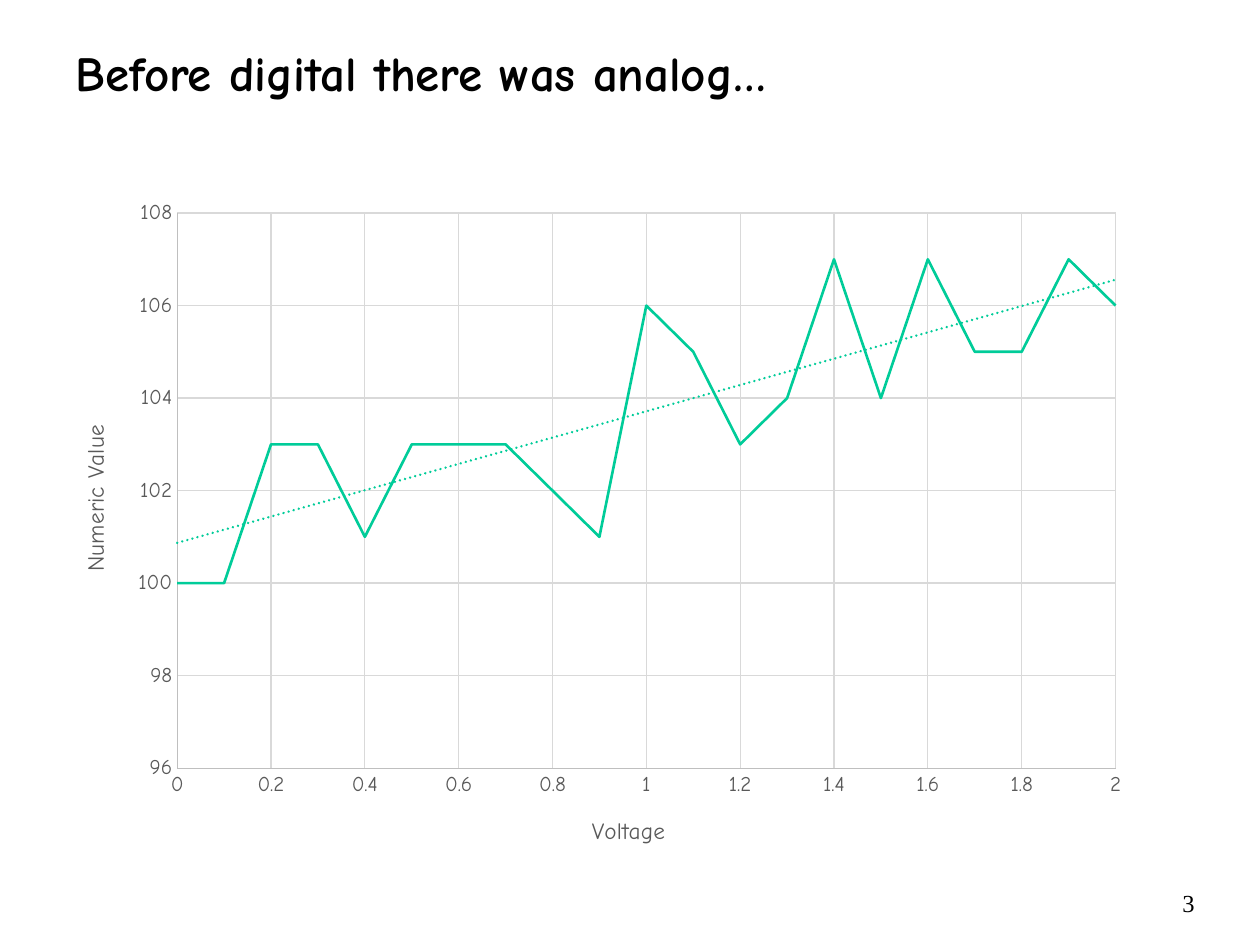
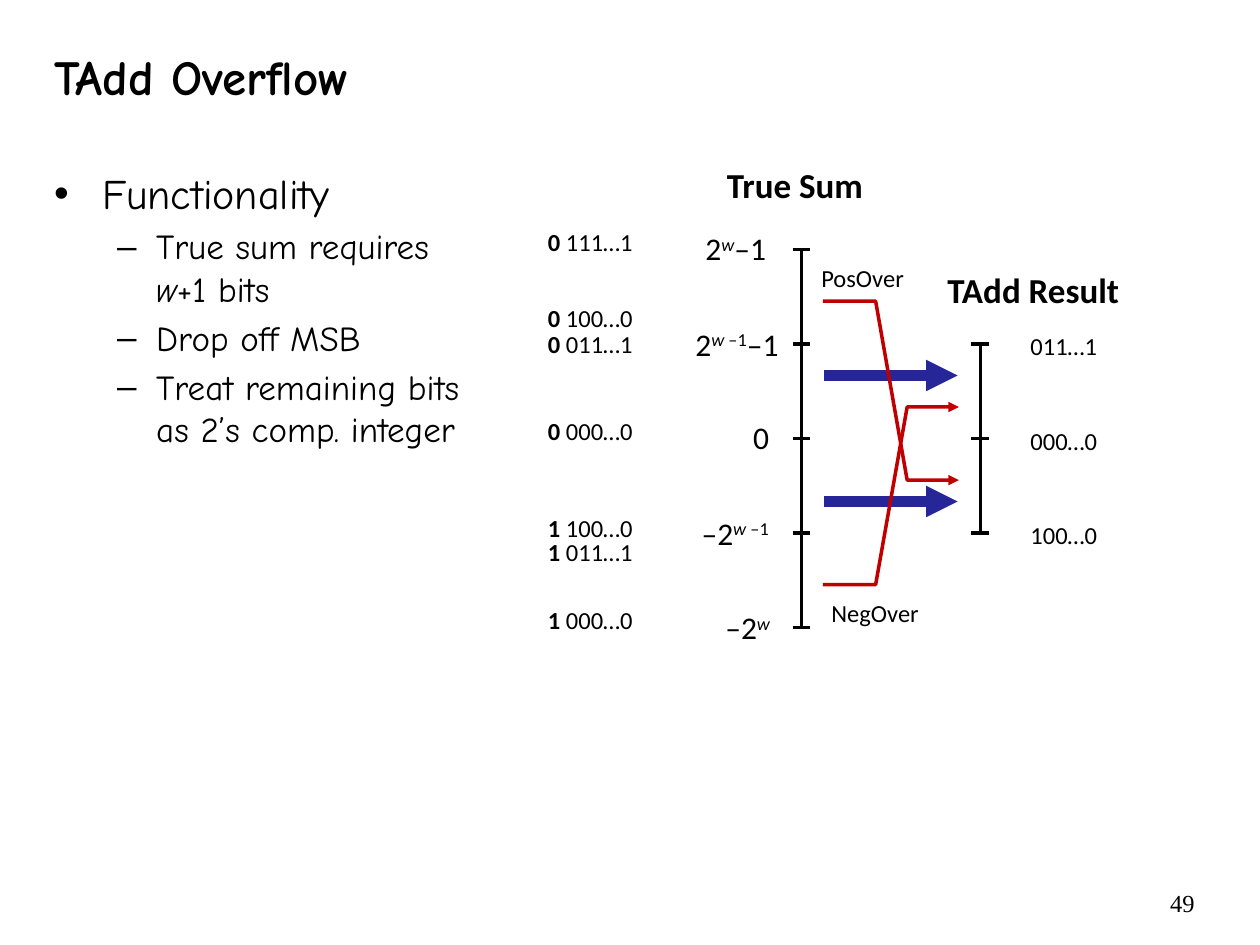
import pptx
import pptx.chart.data
import pptx.dml.color
import pptx.enum.chart
import pptx.enum.shapes
import pptx.enum.text
import pptx.oxml.ns
import pptx.util
from lxml import etree

Inches = pptx.util.Inches
Pt = pptx.util.Pt
qn = pptx.oxml.ns.qn
ALIGN = pptx.enum.text.PP_ALIGN

HUES = {"ink": "000000", "blue": "262699", "red": "C00000", "green": "00CC99",
        "label": "595959", "axis": "BFBFBF", "grid": "D9D9D9"}
HEAD, TEXT, FOOT = "Comic Neue", "Calibri", "Times New Roman"


def hue(name):
    return pptx.dml.color.RGBColor.from_string(HUES[name])


def sub(node, tag, **atts):
    return etree.SubElement(node, qn(tag), **atts)


class Deck:
    """Holds the shared style and the current slide."""

    def __init__(self):
        self.prs = pptx.Presentation()
        self.prs.slide_width = Inches(10)
        self.prs.slide_height = Inches(7.5)
        self.slide = None

    # Pages and placeholders
    def page(self, layout, title, box, number):
        self.slide = self.prs.slides.add_slide(self.prs.slide_layouts[layout])
        head = self.slide.shapes.title
        self.place(head, box)
        frame = head.text_frame
        frame.vertical_anchor = pptx.enum.text.MSO_ANCHOR.MIDDLE
        par = frame.paragraphs[0]
        par.alignment = ALIGN.LEFT
        self.runs(par, [(title, "b")], 28, HEAD)
        self.text((8.16, 7, 1.42, 0.28), [(number, "")], 14, FOOT, ALIGN.RIGHT, True)

    def place(self, shape, box):
        shape.left, shape.top, shape.width, shape.height = map(Inches, box)
        shape.text_frame.auto_size = pptx.enum.text.MSO_AUTO_SIZE.NONE

    def list(self, box, items):
        body = self.slide.placeholders[1]
        self.place(body, box)
        frame = body.text_frame
        looks = [(24, 0.38, 0.38, "•"), (20, 0.81, 0.31, "–")]
        for num, (level, parts) in enumerate(items):
            size, left, hang, mark = looks[level]
            par = frame.add_paragraph() if num else frame.paragraphs[0]
            par.level = level
            props = par._p.get_or_add_pPr()
            props.set("marL", str(Inches(left)))
            props.set("indent", str(-Inches(hang)))
            sub(props, "a:buChar", char=mark)
            par.space_before = Pt(size * 0.2 if num else 0)
            self.runs(par, parts, size, HEAD)

    # Text: style letters are b bold, i italic, ^ raised
    def runs(self, par, parts, size, face):
        for words, style in parts:
            run = par.add_run()
            run.text = words
            font = run.font
            font.name, font.size = face, Pt(size)
            font.bold, font.italic = "b" in style, "i" in style
            font.color.rgb = hue("ink")
            if "^" in style:
                run._r.get_or_add_rPr().set("baseline", "30000")

    def text(self, box, parts, size=14, face=TEXT, align=ALIGN.LEFT, wrap=False):
        frame = self.slide.shapes.add_textbox(*map(Inches, box)).text_frame
        frame.word_wrap = wrap
        if not wrap:
            frame.auto_size = pptx.enum.text.MSO_AUTO_SIZE.SHAPE_TO_FIT_TEXT
        par = frame.paragraphs[0]
        par.alignment = align
        self.runs(par, parts, size, face)

    # Lines
    def stroke(self, line, color, width, arrow=False):
        line.color.rgb = hue(color)
        line.width = Pt(width)
        if arrow:
            sub(line._get_or_add_ln(), "a:tailEnd", type="triangle")

    def line(self, start, end, color="ink", width=2, arrow=False):
        kind = pptx.enum.shapes.MSO_CONNECTOR.STRAIGHT
        link = self.slide.shapes.add_connector(kind, *map(Inches, start + end))
        self.stroke(link.line, color, width, arrow)
        sub(link._element.spPr, "a:effectLst")

    def bent(self, points):
        spots = [(Inches(x), Inches(y)) for x, y in points]
        pen = self.slide.shapes.build_freeform(*spots[0], scale=1.0)
        pen.add_line_segments(spots[1:], close=False)
        shape = pen.convert_to_shape()
        shape.shadow.inherit = False
        shape.fill.background()
        self.stroke(shape.line, "red", 2, True)

    def scale(self, x, ticks):
        mid = ticks[len(ticks) // 2]
        for start, end in ((ticks[0], mid), (mid, ticks[-1])):
            self.line((x, start), (x, end))
        for y in ticks:
            self.line((x - 0.07, y), (x + 0.07, y))

    # Chart
    def layout(self, node, x, y, w=None, h=None):
        old = node.find(qn("c:layout"))
        if old is None:
            old = etree.Element(qn("c:layout"))
            words = node.find(qn("c:tx"))
            if words is None:
                node.insert(0, old)
            else:
                words.addnext(old)
        man = sub(old, "c:manualLayout")
        if w:
            sub(man, "c:layoutTarget", val="inner")
        for key in ("xMode", "yMode"):
            sub(man, "c:" + key, val="edge")
        for key, val in zip("xywh", (x, y, w, h)):
            if val:
                sub(man, "c:" + key, val=str(val))

    def axis(self, axis, title, low, high, step, spot):
        axis.minimum_scale, axis.maximum_scale, axis.major_unit = low, high, step
        none = pptx.enum.chart.XL_TICK_MARK.NONE
        axis.major_tick_mark = axis.minor_tick_mark = none
        axis.has_major_gridlines = True
        self.stroke(axis.major_gridlines.format.line, "grid", 0.75)
        self.stroke(axis.format.line, "axis", 0.75)
        labels = axis.tick_labels
        labels.number_format, labels.number_format_is_linked = "General", False
        run = axis.axis_title.text_frame.paragraphs[0].add_run()
        run.text = title
        for font, size in ((labels.font, 12), (run.font, 13.3)):
            font.name, font.size, font.bold = HEAD, Pt(size), False
            font.color.rgb = hue("label")
        self.layout(axis.axis_title._element, *spot)

    def trend(self, series, color):
        node = etree.Element(qn("c:trendline"))
        ln = sub(sub(node, "c:spPr"), "a:ln", w=str(Pt(1.5)), cap="rnd")
        sub(sub(ln, "a:solidFill"), "a:srgbClr", val=HUES[color])
        sub(ln, "a:prstDash", val="sysDot")
        sub(node, "c:trendlineType", val="linear")
        for key in ("dispRSqr", "dispEq"):
            sub(node, "c:" + key, val="0")
        series._element.find(qn("c:xVal")).addprevious(node)

    def chart(self, box, values):
        data = pptx.chart.data.XyChartData()
        points = data.add_series("Series 1")
        for num, val in enumerate(values):
            points.add_data_point(num / 10, val)
        kind = pptx.enum.chart.XL_CHART_TYPE.XY_SCATTER_LINES_NO_MARKERS
        chart = self.slide.shapes.add_chart(kind, *map(Inches, box), data).chart
        chart.has_title = chart.has_legend = False
        chart.font.name, chart.font.size = HEAD, Pt(10)
        chart.font.color.rgb = hue("ink")
        plot = chart.plots[0]
        plot.vary_by_categories = False
        series = plot.series[0]
        series.smooth = False
        self.stroke(series.format.line, "green", 1.5)
        self.trend(series, "green")
        self.axis(chart.category_axis, "Voltage", 0, 2, 0.2, (0.49, 0.91))
        self.axis(chart.value_axis, "Numeric Value", 96, 108, 2, (0.02, 0.34))
        area = chart._chartSpace.chart.plotArea
        self.layout(area, 0.113, 0.037, 0.862, 0.81)


def analog(deck):
    deck.page(5, "Before digital there was analog…", (0.5, 0.22, 9.08, 0.7), "3")
    deck.chart((0.43, 1.49, 8.64, 5.44), [
        100, 100, 103, 103, 101, 103, 103, 103, 102, 101, 106,
        105, 103, 104, 107, 104, 107, 105, 105, 107, 106])


def tadd(deck):
    deck.page(1, "TAdd Overflow", (0.33, 0.3, 7.39, 0.61), "49")
    deck.list((0.33, 1.28, 3.62, 5.71), [
        (0, [("Functionality", "")]),
        (1, [("True sum requires ", ""), ("w", "i"), ("+1 bits", "")]),
        (1, [("Drop off MSB", "")]),
        (1, [("Treat remaining bits as 2’s comp. integer", "")])])

    # Scales of the true sum and of the result
    ticks = [1.98 + 0.75 * num for num in range(5)]
    deck.scale(6.36, ticks)
    deck.scale(7.78, ticks[1:4])

    # Values that fit, then the two overflows
    for y in (2.98, 3.98):
        deck.line((6.54, y), (7.6, y), "blue", 6, True)
    for start, end in ((2.39, 3.81), (4.64, 3.23)):
        deck.bent([(6.53, start), (6.95, start), (7.2, end), (7.61, end)])

    # Powers beside the true sum
    power = [("w ", "i^"), ("–1", "^")]
    for x, y, width, align, parts in (
            (5.5, 1.77, 0.7, ALIGN.LEFT, [("2", ""), ("w", "i^"), ("–1", "")]),
            (5.42, 2.53, 0.86, ALIGN.LEFT, [("2", "")] + power + [("–1", "")]),
            (5.88, 3.27, 0.33, ALIGN.LEFT, [("0", "")]),
            (5.42, 4.03, 0.78, ALIGN.RIGHT, [("–2", "")] + power),
            (5.63, 4.78, 0.58, ALIGN.RIGHT, [("–2", ""), ("w", "i^")])):
        deck.text((x, y, width, 0.4), parts, 18, align=align)

    # Bit patterns
    for y, sign, bits in ((1.75, "0", "111…1"), (2.36, "0", "100…0"), (2.56, "0", "011…1"),
                          (3.25, "0", "000…0"), (4.02, "1", "100…0"), (4.21, "1", "011…1"),
                          (4.75, "1", "000…0")):
        deck.text((4.25, y, 0.88, 0.33), [(sign, "b"), (" " + bits, "")])
    for num, bits in enumerate(("011…1", "000…0", "100…0")):
        deck.text((8.08, 2.58 + 0.75 * num, 0.73, 0.33), [(bits, "")])

    # Headings and overflow names
    deck.text((5.67, 1.25, 1.51, 0.5), [("True Sum", "b")], 20)
    deck.text((7.42, 2.08, 1.85, 0.5), [("TAdd Result", "b")], 20)
    deck.text((6.42, 2.04, 0.86, 0.34), [("PosOver", "")])
    deck.text((6.5, 4.7, 0.9, 0.34), [("NegOver", "")])


def main():
    deck = Deck()
    analog(deck)
    tadd(deck)
    deck.prs.save("out.pptx")


if __name__ == "__main__":
    main()
